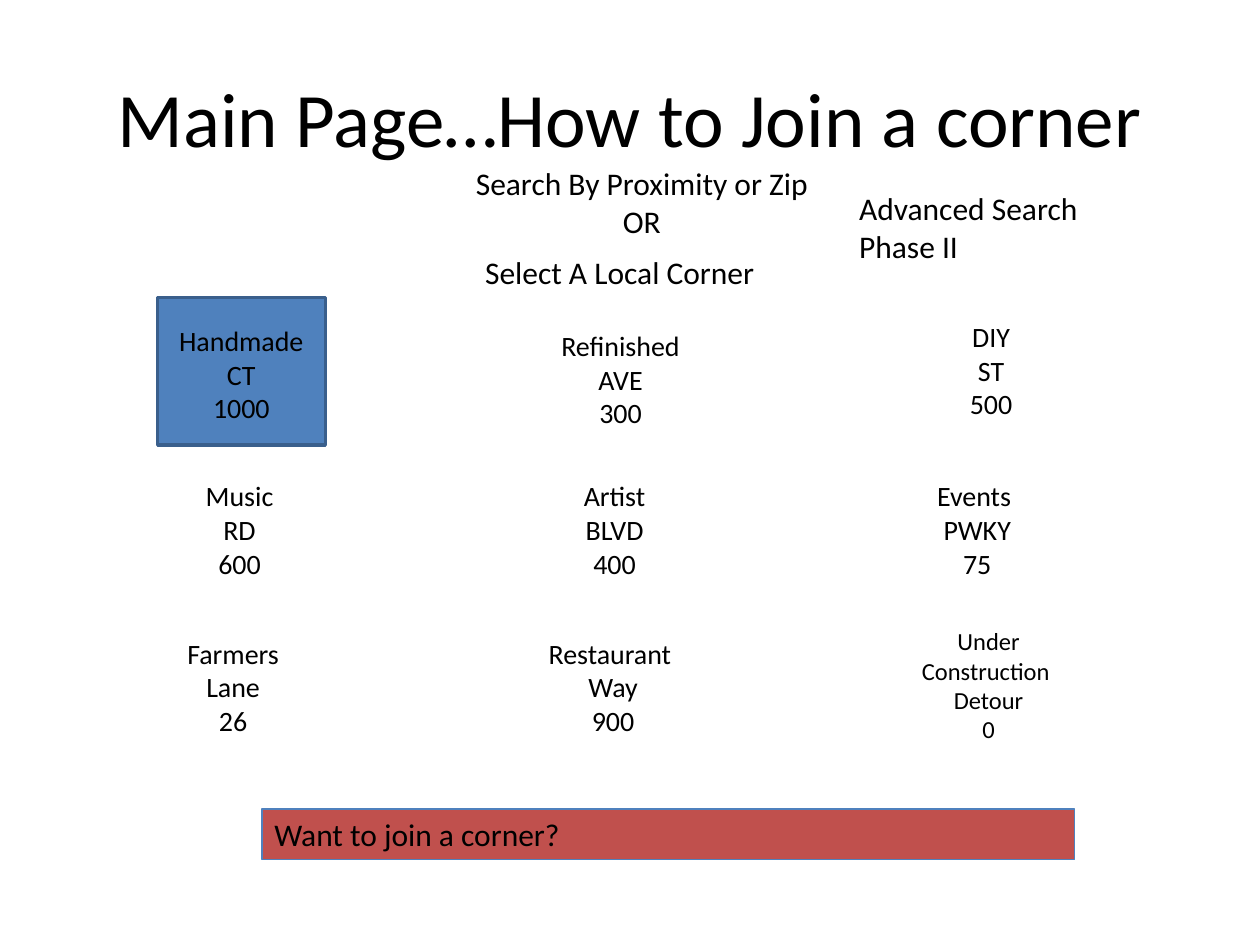
import dataclasses
import typing

import pptx
import pptx.dml.color
import pptx.enum.shapes
import pptx.enum.text
import pptx.util

Cm = pptx.util.Cm
Pt = pptx.util.Pt
Rgb = pptx.dml.color.RGBColor
Align = pptx.enum.text.PP_ALIGN
Anchor = pptx.enum.text.MSO_ANCHOR


@dataclasses.dataclass(frozen=True)
class Theme:
    font: str = "Calibri"
    ink: Rgb = Rgb(0x00, 0x00, 0x00)
    blue: Rgb = Rgb(0x4F, 0x81, 0xBD)
    navy: Rgb = Rgb(0x3A, 0x5F, 0x8C)
    red: Rgb = Rgb(0xC0, 0x50, 0x4D)
    title: int = 44
    lead: int = 18
    label: int = 16
    small: int = 14


THEME = Theme()


@dataclasses.dataclass(frozen=True)
class Box:
    """Place and size in centimetres."""
    left: float
    top: float
    width: float
    height: float

    def spans(self) -> list[pptx.util.Length]:
        return [Cm(n) for n in dataclasses.astuple(self)]


@dataclasses.dataclass(frozen=True)
class Note:
    box: Box
    lines: tuple[str, ...]
    size: int = THEME.label
    align: Align = Align.CENTER


ROW = 2.31  # height of three label lines
MID, LOW = 9.53, 12.7  # tops of the second and third rows

CORNERS = (
    Note(Box(3.2, 6.4, 3.33, ROW), ("Handmade CT", "1000")),
    Note(Box(10.92, 6.5, 3.18, ROW), ("Refinished AVE", "300")),
    Note(Box(18.29, 6.32, 3.38, ROW), ("DIY", "ST", "500")),
    Note(Box(3.38, MID, 2.9, ROW), ("Music", "RD", "600")),
    Note(Box(10.8, MID, 3.18, ROW), ("Artist", "BLVD", "400")),
    Note(Box(18.24, MID, 2.92, ROW), ("Events ", "PWKY", "75")),
    Note(Box(3.25, LOW, 2.9, ROW), ("Farmers", "Lane", "26")),
    Note(Box(10.8, LOW, 3.12, ROW), ("Restaurant ", "Way", "900")),
    Note(Box(18.29, 12.5, 3.28, 2.64),
         ("Under Construction ", "Detour", "0"), THEME.small),
)
SEARCH = (
    Note(Box(8.81, 3.18, 8.26, 1.8),
         ("Search By Proximity or Zip", "OR"), THEME.lead),
    Note(Box(9.53, 4.98, 6.78, 1.02),
         ("Select A Local Corner",), THEME.lead, Align.LEFT),
    Note(Box(17.07, 3.68, 6.43, 1.8),
         ("Advanced Search Phase II",), THEME.lead, Align.LEFT),
)
JOIN = Note(Box(5.28, 16.31, 16.38, 1.02),
            ("Want to join a corner?",), THEME.lead, Align.LEFT)


def write(frame: typing.Any, lines: tuple[str, ...], size: int,
          align: Align) -> None:
    frame.word_wrap = True
    for num, line in enumerate(lines):
        para = frame.add_paragraph() if num else frame.paragraphs[0]
        para.alignment = align
        run = para.add_run()
        run.text = line
        run.font.name = THEME.font
        run.font.size = Pt(size)
        run.font.color.rgb = THEME.ink


def fill_note(shape: typing.Any, note: Note) -> None:
    frame = shape.text_frame
    write(frame, note.lines, note.size, note.align)
    frame.vertical_anchor = Anchor.TOP
    frame.auto_size = pptx.enum.text.MSO_AUTO_SIZE.SHAPE_TO_FIT_TEXT


def add_note(slide: typing.Any, note: Note) -> None:
    fill_note(slide.shapes.add_textbox(*note.box.spans()), note)


def add_block(slide: typing.Any, box: Box, fill: Rgb, edge: Rgb,
              weight: float) -> typing.Any:
    kind = pptx.enum.shapes.MSO_SHAPE.RECTANGLE
    block = slide.shapes.add_shape(kind, *box.spans())
    block.shadow.inherit = False
    block.fill.solid()
    block.fill.fore_color.rgb = fill
    block.line.color.rgb = edge
    block.line.width = Pt(weight)
    return block


def set_title(slide: typing.Any, text: str) -> None:
    title = slide.shapes.title
    box = Box(1.27, 0.76, 22.86, 3.18)
    title.left, title.top, title.width, title.height = box.spans()
    title.text_frame.vertical_anchor = Anchor.MIDDLE
    write(title.text_frame, (text,), THEME.title, Align.CENTER)


def main() -> None:
    deck = pptx.Presentation()
    deck.slide_width, deck.slide_height = Cm(25.4), Cm(19.05)
    slide = deck.slides.add_slide(deck.slide_layouts.get_by_name("Title Only"))
    set_title(slide, "Main Page…How to Join a corner")
    add_block(slide, Box(3.18, 6, 3.38, 2.97), THEME.blue, THEME.navy, 2)
    for note in CORNERS + SEARCH:
        add_note(slide, note)
    fill_note(add_block(slide, JOIN.box, THEME.red, THEME.blue, 0.75), JOIN)
    deck.save("out.pptx")


if __name__ == "__main__":
    main()
